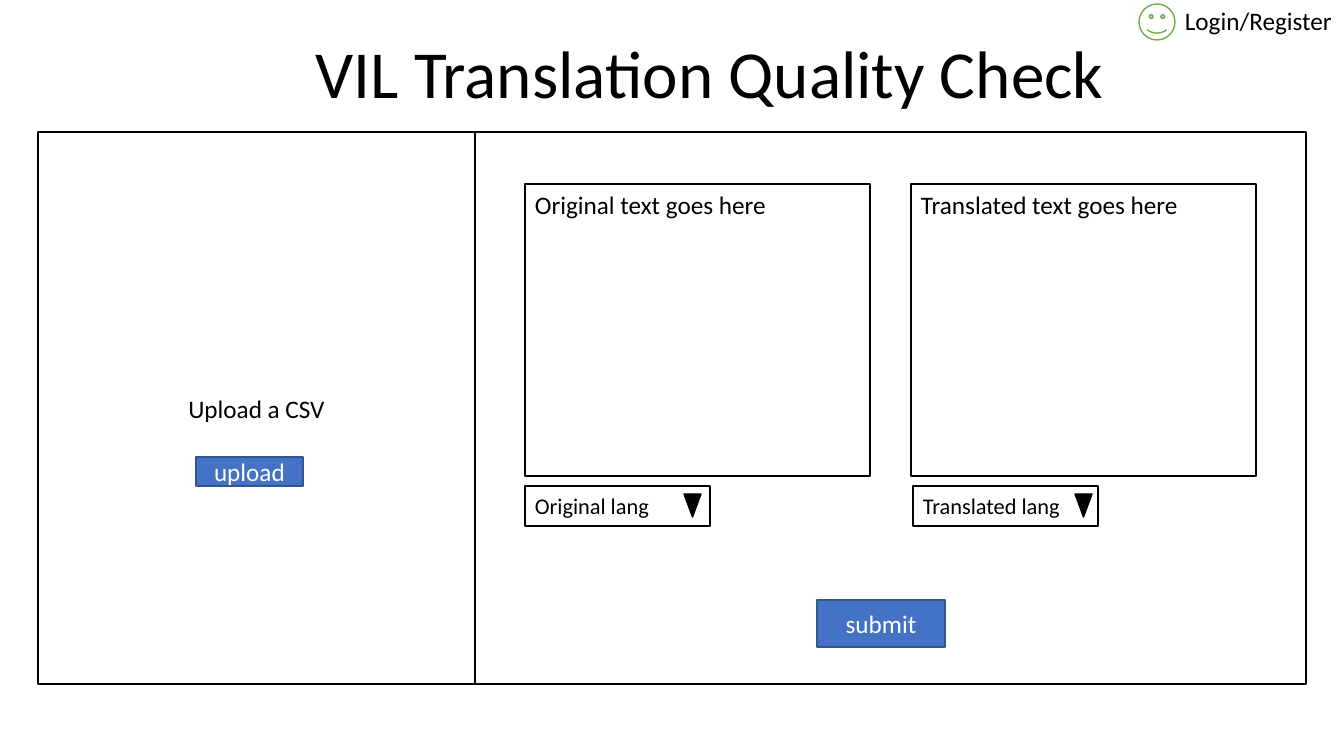
from dataclasses import dataclass

from pptx import Presentation
from pptx import util as u
from pptx.dml import color
from pptx.enum import shapes, text

EMU_PER_PIXEL = 914400 / 100.8
FONT = "Calibri"
COLORS = {
    "paper": "FFFFFF",
    "ink": "000000",
    "button": "4472C4",
    "button_edge": "325491",
    "smiley": "70AD47",
}
KIND = shapes.MSO_SHAPE
ALIGN = text.PP_ALIGN
ANCHOR = text.MSO_ANCHOR


@dataclass(frozen=True)
class Label:
    words: str
    size: int = 18
    ink: str = "ink"
    align: ALIGN = ALIGN.LEFT
    anchor: ANCHOR = ANCHOR.TOP
    wrap: bool = True


@dataclass(frozen=True)
class Item:
    left: int
    top: int
    width: int
    height: int
    label: Label | None = None
    kind: KIND = KIND.RECTANGLE
    fill: str = "paper"
    line: str = "ink"
    rotation: int = 0


def px(pixels: int) -> u.Emu:
    return u.Emu(round(pixels * EMU_PER_PIXEL))


def rgb(name: str) -> color.RGBColor:
    return color.RGBColor.from_string(COLORS[name])


def bounds(item: Item) -> list[u.Emu]:
    return [px(side) for side in (item.left, item.top, item.width, item.height)]


def write(box, label: Label) -> None:
    frame = box.text_frame
    frame.word_wrap = label.wrap
    frame.vertical_anchor = label.anchor
    para = frame.paragraphs[0]
    para.alignment = label.align
    span = para.add_run()
    span.text = label.words
    span.font.name = FONT
    span.font.size = u.Pt(label.size)
    span.font.color.rgb = rgb(label.ink)


def draw_text(page, item: Item) -> None:
    write(page.shapes.add_textbox(*bounds(item)), item.label)


def draw_shape(page, item: Item) -> None:
    box = page.shapes.add_shape(item.kind, *bounds(item))
    box.shadow.inherit = False
    box.rotation = item.rotation
    box.fill.solid()
    box.fill.fore_color.rgb = rgb(item.fill)
    box.line.color.rgb = rgb(item.line)
    box.line.width = u.Pt(1)
    if item.label:
        write(box, item.label)


def button(left: int, top: int, width: int, height: int, words: str) -> Item:
    label = Label(words, ink="paper", align=ALIGN.CENTER, anchor=ANCHOR.MIDDLE)
    return Item(left, top, width, height, label, fill="button", line="button_edge")


def text_area(left: int, words: str) -> Item:
    return Item(left, 184, 345, 292, Label(words))


def dropdown(left: int, arrow_left: int, words: str) -> list[Item]:
    label = Label(words, size=16, anchor=ANCHOR.MIDDLE)
    return [
        Item(left, 486, 185, 40, label),
        Item(arrow_left, 494, 17, 23, kind=KIND.ISOSCELES_TRIANGLE,
             fill="ink", rotation=180),
    ]


HEADINGS = [
    Item(1175, 0, 169, 40, Label("Login/Register", wrap=False)),
    Item(242, 26, 936, 92,
         Label("VIL Translation Quality Check", size=48, align=ALIGN.CENTER)),
]
UPLOAD_LABEL = Label("Upload a CSV", align=ALIGN.CENTER, anchor=ANCHOR.MIDDLE)
FORM = [
    Item(1139, 4, 36, 36, kind=KIND.SMILEY_FACE, line="smiley"),
    Item(38, 132, 437, 552, UPLOAD_LABEL),
    Item(475, 132, 831, 552),
    button(196, 457, 107, 29, "upload"),
    text_area(525, "Original text goes here"),
    text_area(911, "Translated text goes here"),
    button(817, 600, 128, 47, "submit"),
    *dropdown(525, 684, "Original lang"),
    *dropdown(913, 1075, "Translated lang"),
]

deck = Presentation()
deck.slide_width, deck.slide_height = px(1344), px(756)
page = deck.slides.add_slide(deck.slide_layouts[6])
for heading in HEADINGS:
    draw_text(page, heading)
for part in FORM:
    draw_shape(page, part)
deck.save("out.pptx")
